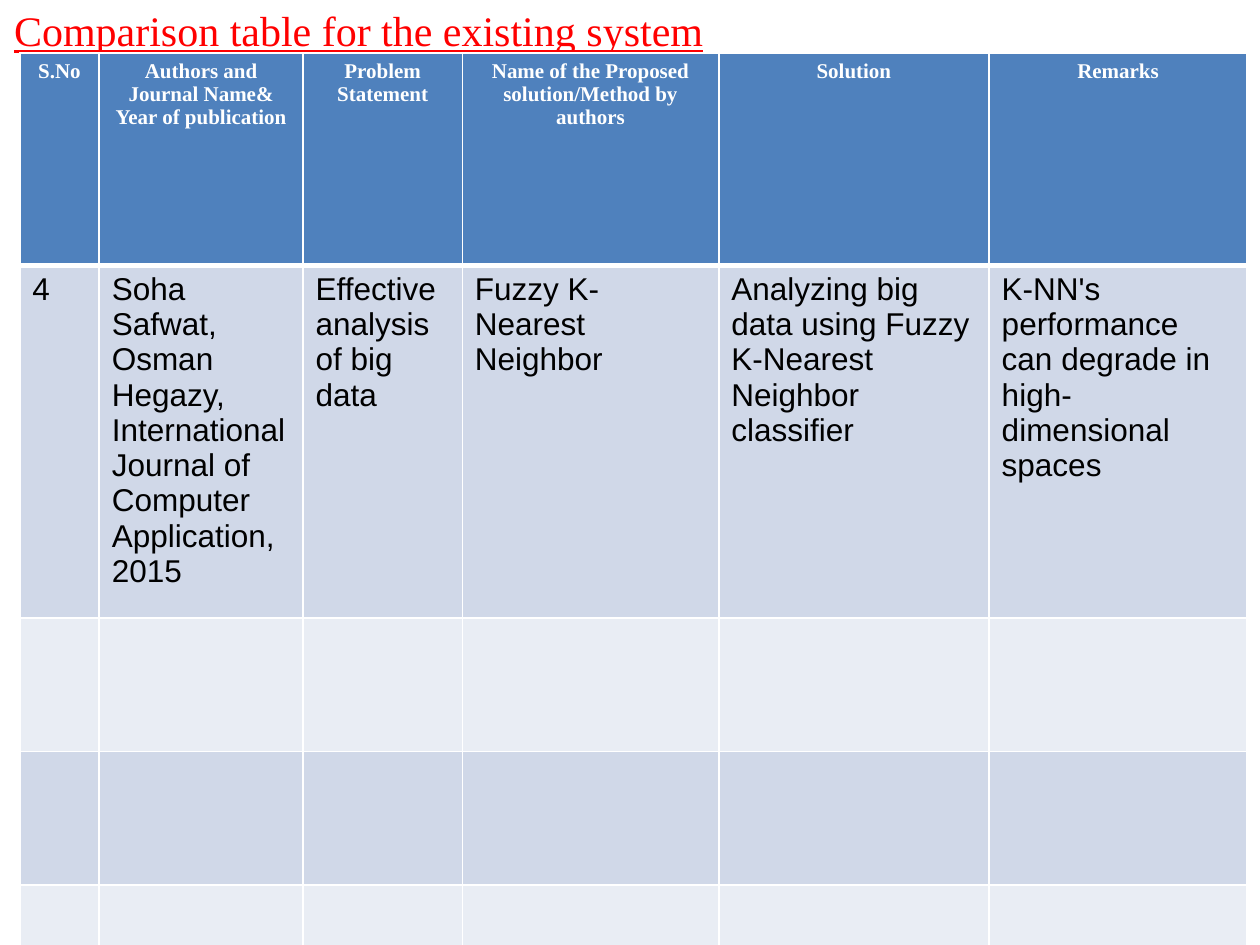
"""Build the comparison table slide for the existing system."""
from lxml.etree import SubElement
from pptx import Presentation
from pptx.dml.color import RGBColor
from pptx.enum.text import MSO_ANCHOR as ANCHOR, MSO_AUTO_SIZE as AUTO, PP_ALIGN as ALIGN
from pptx.oxml.ns import qn
from pptx.util import Cm, Pt

TITLE = "Comparison table for the existing system"
HEADER = ["S.No", "Authors and Journal Name& Year of publication", "Problem Statement",
          "Name of the Proposed solution/Method by authors", " Solution ", "Remarks"]
STUDY = ["4",
         "Soha Safwat, Osman Hegazy,\nInternational Journal of Computer Application,\n2015",
         "Effective analysis of big data",
         "Fuzzy K-Nearest Neighbor",
         "Analyzing big data using Fuzzy K-Nearest Neighbor classifier",
         "K-NN's performance can degrade in high-dimensional spaces"]
ROWS = [HEADER, STUDY] + [[""] * len(HEADER)] * 3
COL_WIDTHS = [1.6, 4.11, 3.21, 5.17, 5.45, 5.2]
ROW_HEIGHTS = [4.28, 7.09, 2.69, 2.69, 2.69]
HEADER_FILL, BANDS = "4F81BD", ["E9EDF4", "D0D8E8"]


def rgb(color):
    return RGBColor.from_string(color)


def set_font(font, name, size, color, bold=False):
    font.name, font.size, font.bold = name, Pt(size), bold
    font.color.rgb = rgb(color)


def set_borders(cell, color, widths):
    tc_pr = cell._tc.get_or_add_tcPr()
    for side, width in widths.items():
        ln = SubElement(tc_pr, qn(f"a:ln{side}"), w=str(Pt(width)))
        SubElement(SubElement(ln, qn("a:solidFill")), qn("a:srgbClr"), val=color)


def add_title(slide):
    sp = slide.shapes.title
    sp.left, sp.top, sp.width, sp.height = Cm(0.03), Cm(-0.03), Cm(24.97), Cm(1.27)
    tf = sp.text_frame
    tf.text = TITLE
    tf.vertical_anchor, tf.auto_size = ANCHOR.TOP, AUTO.SHAPE_TO_FIT_TEXT
    p = tf.paragraphs[0]
    p.alignment = ALIGN.LEFT
    set_font(p.font, "Times New Roman", 24, "FF0000")
    p.font.underline = True


def add_comparison(slide):
    table = slide.shapes.add_table(
        len(ROWS), len(HEADER), Cm(0.4), Cm(1.07),
        Cm(sum(COL_WIDTHS)), Cm(sum(ROW_HEIGHTS))).table
    for col, width in zip(table.columns, COL_WIDTHS):
        col.width = Cm(width)
    for i, (row, height, texts) in enumerate(zip(table.rows, ROW_HEIGHTS, ROWS)):
        row.height = Cm(height)
        header = i == 0
        for cell, text in zip(row.cells, texts):
            cell.text = text
            set_borders(cell, "FFFFFF", {"L": 1, "R": 1, "T": 3 if i == 1 else 1,
                                         "B": 3 if header else 1})
            cell.fill.solid()
            cell.fill.fore_color.rgb = rgb(HEADER_FILL if header else BANDS[i % 2])
            for p in cell.text_frame.paragraphs:
                if header:
                    p.alignment = ALIGN.CENTER
                    set_font(p.font, "Times New Roman", 12, "FFFFFF", True)
                else:
                    set_font(p.font, "Arial", 18, "000000")


prs = Presentation()
prs.slide_width, prs.slide_height = Cm(25.4), Cm(19.05)
s = prs.slides.add_slide(prs.slide_layouts[5])
add_title(s)
add_comparison(s)
prs.save("out.pptx")
